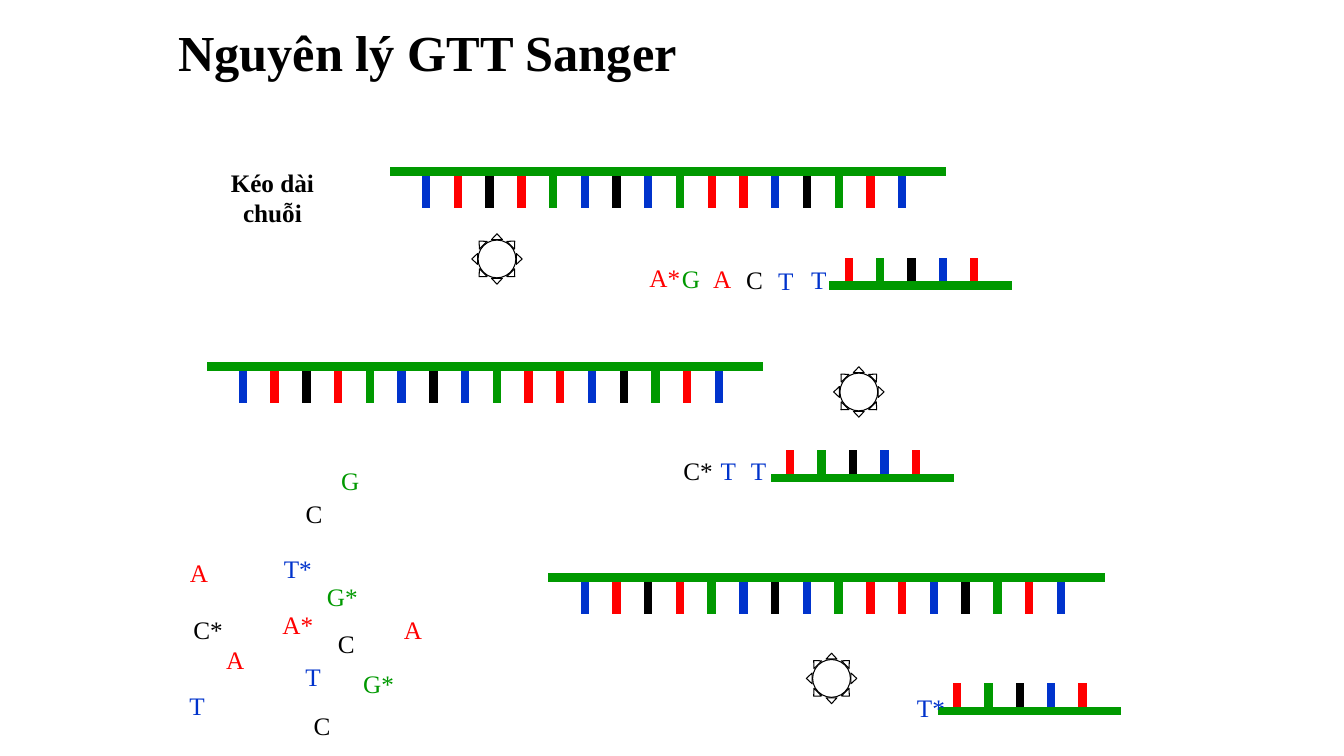
from dataclasses import dataclass

from lxml.etree import SubElement
from pptx import Presentation
from pptx.dml.color import RGBColor
from pptx.enum.shapes import MSO_CONNECTOR, MSO_SHAPE
from pptx.enum.text import MSO_ANCHOR, MSO_AUTO_SIZE, PP_ALIGN
from pptx.oxml.ns import qn
from pptx.util import Pt

FONT = "Times New Roman"
BLACK = "000000"
GREEN = "009900"
BASE_COLORS = {"A": "FF0000", "C": BLACK, "G": GREEN, "T": "0033CC"}


@dataclass(frozen=True)
class StrandKind:
    bases: str
    length: float
    first_base: float  # from the left end of the backbone
    step: float
    base_start: float  # from the backbone, downwards
    base_end: float


@dataclass(frozen=True)
class Strand:
    kind: StrandKind
    left: float
    top: float


@dataclass(frozen=True)
class Nucleotide:
    label: str  # a star marks a chain terminator
    left: float
    top: float


TEMPLATE = StrandKind("TACAGTCTGAATCGAT", 391.3, 22.9, 22.67, 5.6, 22.9)
PRIMER = StrandKind("AGCTA", 124.9, 11, 22.4, 0, -16.7)

STRANDS = [
    Strand(TEMPLATE, 281.5, 122.5),
    Strand(TEMPLATE, 150.6, 261.9),
    Strand(TEMPLATE, 394.8, 412.4),
    Strand(PRIMER, 595.3, 203.9),
    Strand(PRIMER, 553.5, 341.4),
    Strand(PRIMER, 672.7, 507.7),
]

POLYMERASES = [(337, 167), (595.5, 262), (576, 466.6)]

NUCLEOTIDES = [
    # Chain ending in A*
    Nucleotide("A*", 463, 181.4),
    Nucleotide("G", 482.4, 182.2),
    Nucleotide("A", 504, 182.2),
    Nucleotide("C", 527.8, 182.9),
    Nucleotide("T", 550.1, 183.6),
    Nucleotide("T", 573.8, 182.9),
    # Chain ending in C*
    Nucleotide("C*", 487.4, 319),
    Nucleotide("T", 509, 319),
    Nucleotide("T", 530.6, 319),
    # Chain ending in T*
    Nucleotide("T*", 653.8, 488.2),
    # Free nucleotides
    Nucleotide("G", 239, 326.2),
    Nucleotide("C", 213.1, 349.9),
    Nucleotide("A", 130.3, 391.7),
    Nucleotide("T*", 201.6, 388.8),
    Nucleotide("G*", 233.3, 409),
    Nucleotide("C*", 137.5, 432.7),
    Nucleotide("A*", 200.9, 429.1),
    Nucleotide("C", 236.2, 442.8),
    Nucleotide("A", 283, 432.7),
    Nucleotide("A", 156.2, 454.3),
    Nucleotide("T", 212.4, 466.6),
    Nucleotide("G*", 259.2, 471.6),
    Nucleotide("T", 129.6, 486.7),
    Nucleotide("C", 218.9, 501.1),
]


def rgb(color: str) -> RGBColor:
    return RGBColor.from_string(color)


def format_text(frame, text: str, size: float, color: str, align, bold: bool = False) -> None:
    frame.text = text
    frame.vertical_anchor = MSO_ANCHOR.MIDDLE
    paragraph = frame.paragraphs[0]
    paragraph.alignment = align
    font = paragraph.runs[0].font
    font.name, font.size, font.bold = FONT, Pt(size), bold
    font.color.rgb = rgb(color)


def draw_bar(shapes, x1: float, y1: float, x2: float, y2: float, color: str) -> None:
    bar = shapes.add_connector(MSO_CONNECTOR.STRAIGHT, Pt(x1), Pt(y1), Pt(x2), Pt(y2))
    bar.line.color.rgb = rgb(color)
    bar.line.width = Pt(6)
    bar.line._get_or_add_ln().set("cap", "sq")
    SubElement(bar._element.spPr, qn("a:effectLst"))


def draw_strand(slide, strand: Strand) -> None:
    kind = strand.kind
    shapes = slide.shapes.add_group_shape().shapes
    for index, base in enumerate(kind.bases):
        x = strand.left + kind.first_base + index * kind.step
        draw_bar(shapes, x, strand.top + kind.base_start,
                 x, strand.top + kind.base_end, BASE_COLORS[base])
    draw_bar(shapes, strand.left, strand.top,
             strand.left + kind.length, strand.top, GREEN)


def draw_polymerase(slide, left: float, top: float) -> None:
    polymerase = slide.shapes.add_shape(MSO_SHAPE.SUN, Pt(left), Pt(top), Pt(36), Pt(36))
    polymerase.adjustments[0] = 0.125
    polymerase.fill.background()
    polymerase.line.color.rgb = rgb(BLACK)
    polymerase.line.width = Pt(0.75)
    polymerase.shadow.inherit = False


def draw_nucleotide(slide, nucleotide: Nucleotide) -> None:
    base = nucleotide.label[0]
    width = 23.8 if base == "A" else 22.3
    frame = slide.shapes.add_textbox(
        Pt(nucleotide.left), Pt(nucleotide.top), Pt(width), Pt(33.8)).text_frame
    frame.margin_left = frame.margin_right = 0
    frame.word_wrap = False
    format_text(frame, nucleotide.label, 18, BASE_COLORS[base], PP_ALIGN.CENTER)


def main() -> None:
    prs = Presentation()
    prs.slide_width, prs.slide_height = Pt(960), Pt(540)
    slide = prs.slides.add_slide(prs.slide_layouts[5])

    # Title and step name
    title = slide.shapes.title
    title.left, title.top, title.width, title.height = Pt(120), Pt(6.5), Pt(620.6), Pt(66.2)
    format_text(title.text_frame, "Nguyên lý GTT Sanger", 36, BLACK, PP_ALIGN.LEFT, bold=True)
    title.text_frame.auto_size = MSO_AUTO_SIZE.NONE
    title.text_frame.paragraphs[0].line_spacing = 0.9

    step_name = slide.shapes.add_textbox(Pt(134.6), Pt(123.1), Pt(120), Pt(36)).text_frame
    step_name.word_wrap = True
    format_text(step_name, "Kéo dài chuỗi", 18, BLACK, PP_ALIGN.CENTER, bold=True)

    # Templates and primers
    for strand in STRANDS:
        draw_strand(slide, strand)

    # Polymerases
    for left, top in POLYMERASES:
        draw_polymerase(slide, left, top)

    # Nucleotides
    for nucleotide in NUCLEOTIDES:
        draw_nucleotide(slide, nucleotide)

    prs.save("out.pptx")


if __name__ == "__main__":
    main()
